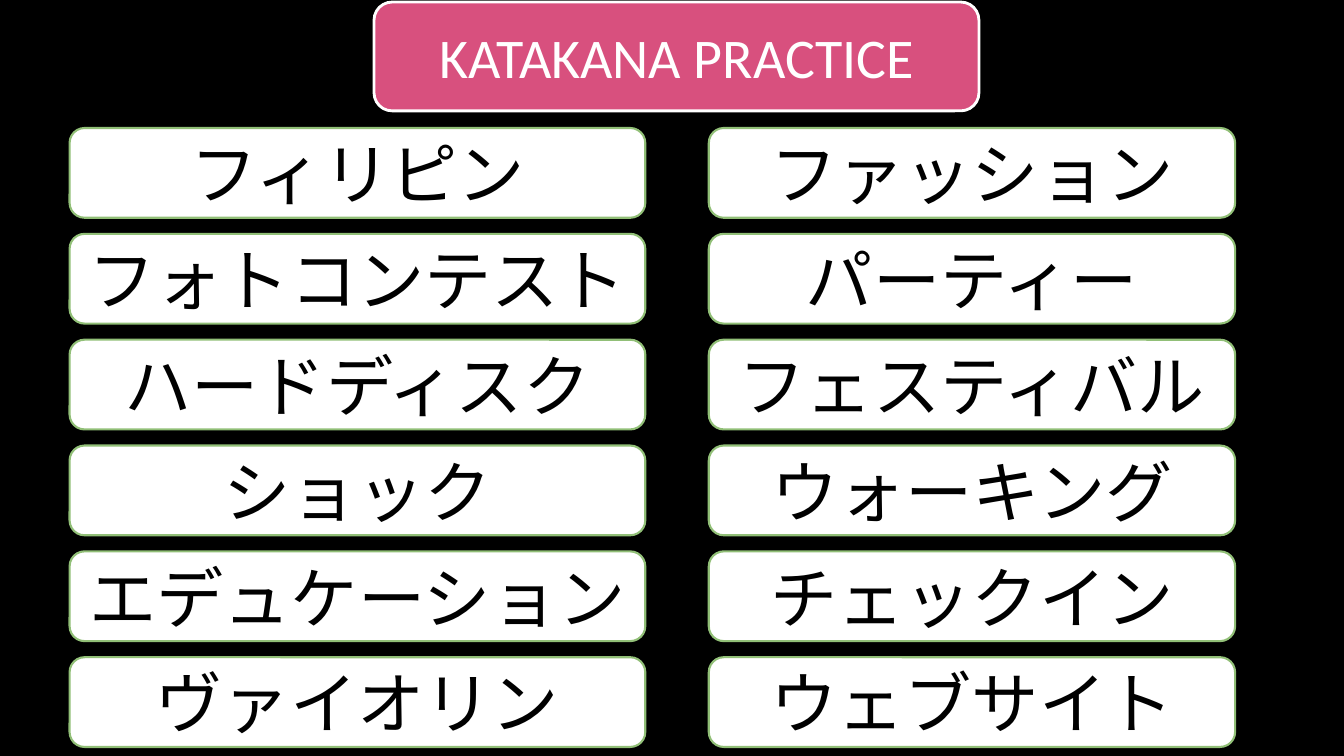
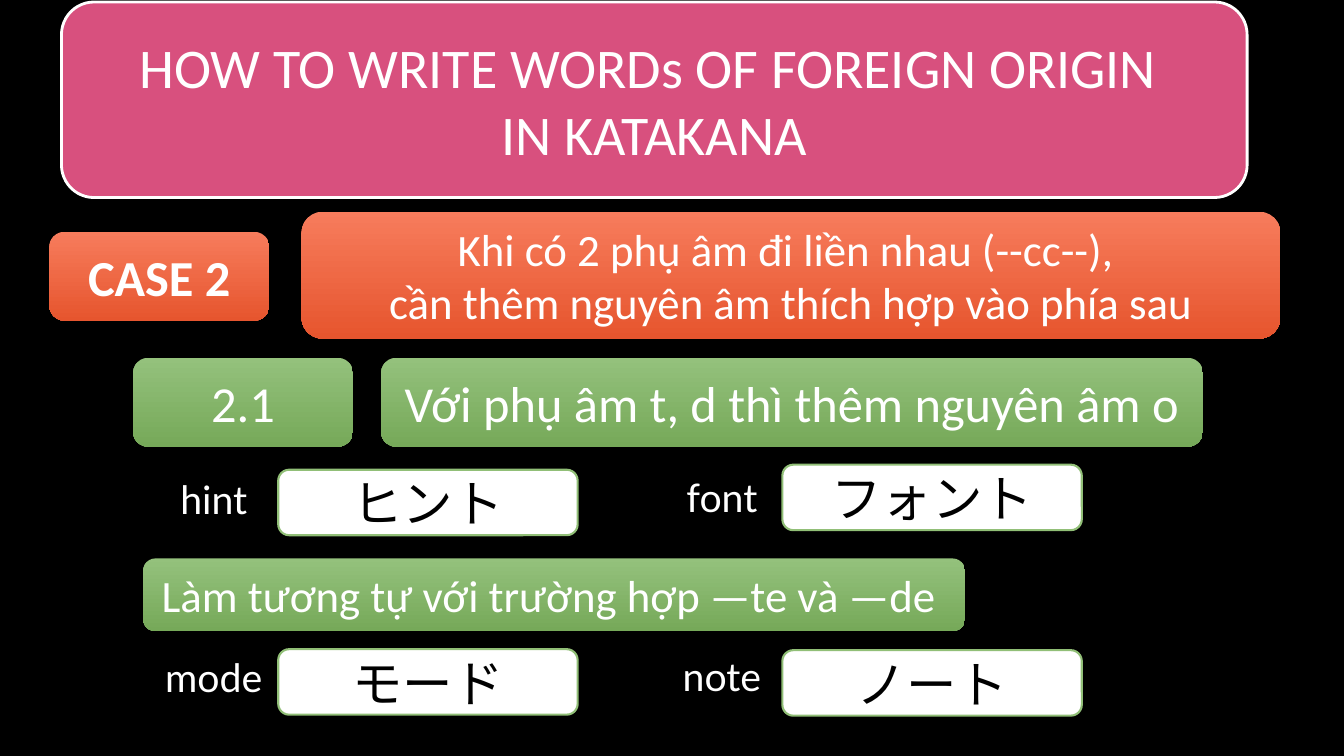
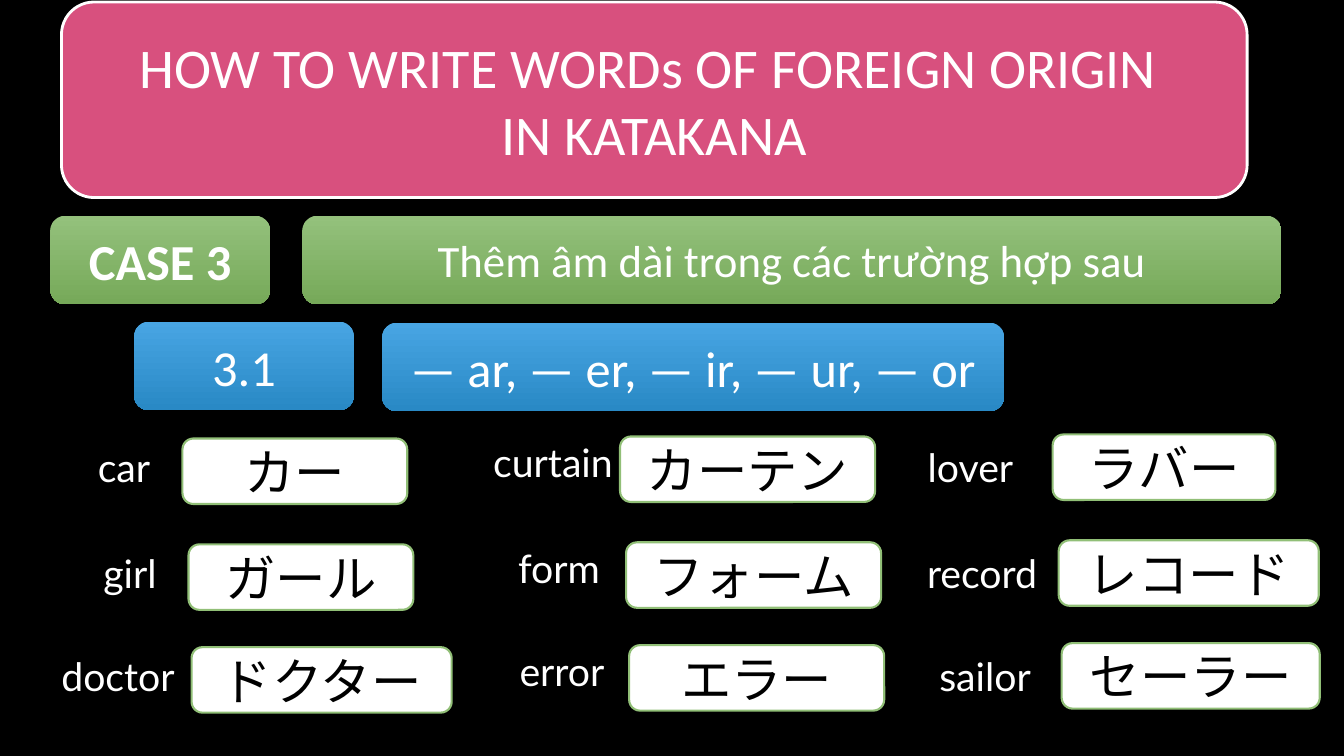
from pptx import Presentation
from pptx.dml.color import RGBColor
from pptx.enum.shapes import MSO_SHAPE
from pptx.enum.text import MSO_ANCHOR, PP_ALIGN
from pptx.util import Emu, Pt

ROUNDED = MSO_SHAPE.ROUNDED_RECTANGLE
MIDDLE = MSO_ANCHOR.MIDDLE
CENTER = PP_ALIGN.CENTER

EMU_PER_PX = 9144  # 100 px to the inch
BLANK_LAYOUT = 6

BLACK = RGBColor(0x00, 0x00, 0x00)
WHITE = RGBColor(0xFF, 0xFF, 0xFF)
PINK = RGBColor(0xD8, 0x50, 0x7E)
CARD_EDGE = RGBColor(0x91, 0xBF, 0x77)
ORANGE = (RGBColor(0xF7, 0x7C, 0x5C), RGBColor(0xE6, 0x55, 0x2E))
GREEN = (RGBColor(0x94, 0xC1, 0x7C), RGBColor(0x76, 0xA9, 0x59))
BLUE = (RGBColor(0x48, 0xA5, 0xE3), RGBColor(0x29, 0x89, 0xC5))

HEADING_FONT = "Calibri"
WORD_FONT = "Lato"

RULES_TITLE = ["HOW TO WRITE WORDs OF FOREIGN ORIGIN ", "IN KATAKANA"]
RULES_TITLE_BOX = (61, 2, 1176, 194)

# Practice columns: left, width, words
PRACTICE_COLUMNS = [
    (69, 571, ["フィリピン", "フォトコンテスト", "ハードディスク",
               "ショック", "エデュケーション", "ヴァイオリン"]),
    (703, 522, ["ファッション", "パーティー", "フェスティバル",
                "ウォーキング", "チェックイン", "ウェブサイト"]),
]
PRACTICE_TOP, PRACTICE_PITCH, PRACTICE_HEIGHT = 127, 105, 89

# Consonant examples: word, label left and top, katakana, card left and top
CONSONANT_EXAMPLES = [
    ("hint", 90, 462, "ヒント", 276, 466),
    ("font", 594, 460, "フォント", 776, 461),
    ("mode", 90, 639, "モード", 276, 644),
    ("note", 594, 638, "ノート", 776, 645),
]

# Long vowel columns: label top, card left and top, then the examples as
# word, label left and width, katakana, card width
LONG_VOWEL_COLUMNS = [
    (431, 181, 435, [("car", 53, 140, "カー", 223),
                     ("girl", 53, 140, "ガール", 223),
                     ("doctor", 24, 168, "ドクター", 258)]),
    (426, 615, 433, [("curtain", 472, 153, "カーテン", 253),
                     ("form", 472, 153, "フォーム", 253),
                     ("error", 472, 153, "エラー", 253)]),
    (431, 1044, 431, [("lover", 892, 141, "ラバー", 221),
                      ("record", 892, 152, "レコード", 258),
                      ("sailor", 892, 152, "セーラー", 256)]),
]
ROW_SHIFTS = [(0, 0), (6, 105), (9, 207)]
EXAMPLE_HEIGHT = 65


def px(length):
    return Emu(length * EMU_PER_PX)


def add_box(slide, box, lines, size, font_name, color=WHITE, bold=False):
    """Rounded box with centred text, without fill or line."""
    shape = slide.shapes.add_shape(ROUNDED, *map(px, box))
    shape.shadow.inherit = False
    shape.fill.background()
    shape.line.fill.background()
    frame = shape.text_frame
    frame.word_wrap = True
    frame.vertical_anchor = MIDDLE
    frame.text = "\n".join(lines)
    for paragraph in frame.paragraphs:
        paragraph.alignment = CENTER
        font = paragraph.font
        font.name = font_name
        font.size = Pt(size)
        font.bold = bold
        font.color.rgb = color
    return shape


def paint(shape, fill_color, line_color, line_width):
    shape.fill.solid()
    shape.fill.fore_color.rgb = fill_color
    shape.line.color.rgb = line_color
    shape.line.width = Pt(line_width)


def add_title(slide, box, lines):
    shape = add_box(slide, box, lines, 40, HEADING_FONT)
    paint(shape, PINK, WHITE, 2)


def add_band(slide, box, lines, colors, size=36, bold=False):
    """Rule band, shaded from top to bottom."""
    shape = add_box(slide, box, lines, size, HEADING_FONT, bold=bold)
    shape.fill.gradient()
    shape.fill.gradient_angle = 270
    for stop, color in zip(shape.fill.gradient_stops, colors):
        stop.color.rgb = color


def add_card(slide, box, katakana, size=36):
    shape = add_box(slide, box, [katakana], size, WORD_FONT, BLACK)
    paint(shape, WHITE, CARD_EDGE, 1.5)


def add_label(slide, box, word):
    add_box(slide, box, [word], 28, WORD_FONT)


def build_practice(slide):
    for left, width, words in PRACTICE_COLUMNS:
        for row, word in enumerate(words):
            top = PRACTICE_TOP + row * PRACTICE_PITCH
            add_card(slide, (left, top, width, PRACTICE_HEIGHT), word, 48)
    add_title(slide, (371, 2, 600, 108), ["KATAKANA PRACTICE"])


def build_consonants(slide):
    add_title(slide, RULES_TITLE_BOX, RULES_TITLE)
    # Rules
    add_band(slide, (49, 230, 218, 88), ["CASE 2"], ORANGE, bold=True)
    add_band(slide, (299, 210, 971, 126),
             ["Khi có 2 phụ âm đi liền nhau (--cc--), ",
              "cần thêm nguyên âm thích hợp vào phía sau"], ORANGE, 32)
    add_band(slide, (132, 355, 218, 88), ["2.1"], GREEN)
    add_band(slide, (378, 355, 815, 88),
             ["Với phụ âm t, d thì thêm nguyên âm o"], GREEN)
    add_band(slide, (142, 554, 815, 72),
             ["Làm tương tự với trường hợp —te và —de "], GREEN, 32)
    # Examples
    for word, label_left, label_top, katakana, left, top in CONSONANT_EXAMPLES:
        add_label(slide, (label_left, label_top, 244, EXAMPLE_HEIGHT), word)
        add_card(slide, (left, top, 297, EXAMPLE_HEIGHT), katakana)


def build_long_vowels(slide):
    add_title(slide, RULES_TITLE_BOX, RULES_TITLE)
    # Rules
    add_band(slide, (50, 214, 218, 88), ["CASE 3"], GREEN, bold=True)
    add_band(slide, (300, 214, 971, 88),
             ["Thêm âm dài trong các trường hợp sau"], GREEN, 32)
    add_band(slide, (133, 319, 218, 88), ["3.1"], BLUE)
    add_band(slide, (379, 320, 617, 88),
             ["— ar, — er, — ir, — ur, — or"], BLUE)
    # Examples, each row drifting a little to the right
    for label_top, left, top, examples in LONG_VOWEL_COLUMNS:
        for (dx, dy), example in zip(ROW_SHIFTS, examples):
            word, label_left, label_width, katakana, width = example
            add_label(slide, (label_left + dx, label_top + dy,
                              label_width, EXAMPLE_HEIGHT), word)
            add_card(slide, (left + dx, top + dy, width, EXAMPLE_HEIGHT),
                     katakana)


def main():
    presentation = Presentation()
    presentation.slide_width = px(1333)
    presentation.slide_height = px(750)
    background = presentation.slide_master.background.fill
    background.solid()
    background.fore_color.rgb = BLACK
    layout = presentation.slide_layouts[BLANK_LAYOUT]
    for build in (build_practice, build_consonants, build_long_vowels):
        build(presentation.slides.add_slide(layout))
    presentation.save("out.pptx")


if __name__ == "__main__":
    main()
